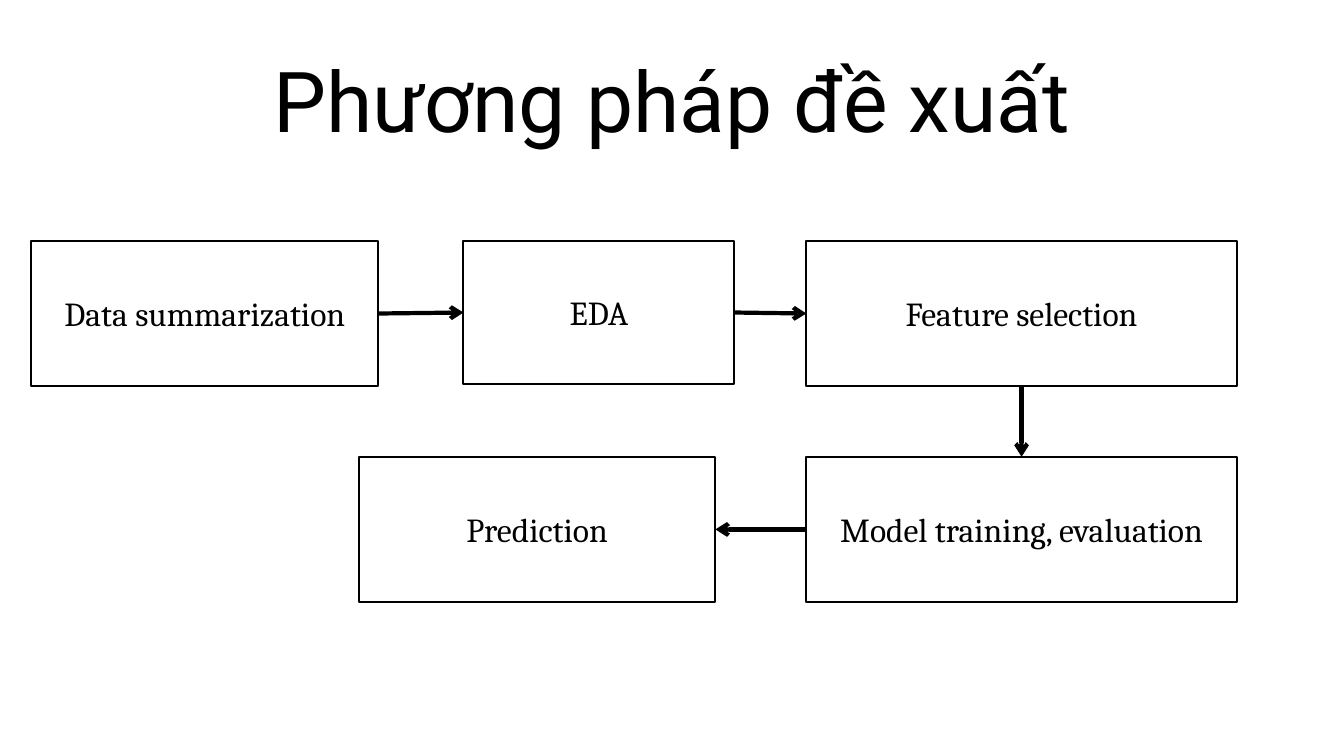
from dataclasses import dataclass
from lxml.etree import SubElement
from pptx import Presentation
from pptx.dml.color import RGBColor
from pptx.enum.shapes import MSO_CONNECTOR, MSO_SHAPE
from pptx.enum.text import MSO_ANCHOR, PP_ALIGN
from pptx.oxml.ns import qn
from pptx.util import Cm, Pt


@dataclass(frozen=True)
class Theme:
    ink: RGBColor = RGBColor(0, 0, 0)
    paper: RGBColor = RGBColor(255, 255, 255)
    title_font: str = "Roboto"
    step_font: str = "Cambria"
    title_size: Pt = Pt(60)
    step_size: Pt = Pt(24)
    border: Pt = Pt(1.5)
    arrow: Pt = Pt(3)


THEME = Theme()
TOP, LEFT, BOTTOM, RIGHT = range(4)  # connection sites of a rectangle

# Step: text, left and top within the chart, width, height (cm)
STEPS = [
    ("Data summarization", 0, 0, 8.74, 3.66),
    ("EDA", 10.89, 0, 6.83, 3.61),
    ("Feature selection", 19.53, 0, 10.85, 3.66),
    ("Model training, evaluation", 19.53, 5.44, 10.85, 3.66),
    ("Prediction", 8.25, 5.44, 8.99, 3.66),
]
# Sites that the arrow from each step to the next leaves and enters
LINKS = [(RIGHT, LEFT), (RIGHT, LEFT), (BOTTOM, TOP), (LEFT, RIGHT)]


def apply(target, formats):
    for name, value in formats.items():
        setattr(target, name, value)


def write(shape, text, font, size, anchor, spacing=1.0):
    tf = shape.text_frame
    apply(tf, {"word_wrap": True, "vertical_anchor": anchor})
    p = tf.paragraphs[0]
    apply(p, {"alignment": PP_ALIGN.CENTER, "line_spacing": spacing})
    r = p.add_run()
    apply(r, {"text": text})
    apply(r.font, {"name": font, "size": size})
    r.font.color.rgb = THEME.ink


def add_title(s, text, left, top, width, height):
    box = s.shapes.add_textbox(Cm(left), Cm(top), Cm(width), Cm(height))
    write(box, text, THEME.title_font, THEME.title_size, MSO_ANCHOR.BOTTOM, 0.9)


def add_step(s, text, left, top, width, height):
    sp = s.shapes.add_shape(MSO_SHAPE.RECTANGLE, Cm(left), Cm(top), Cm(width), Cm(height))
    sp.shadow.inherit = False
    sp.fill.solid()
    sp.fill.fore_color.rgb = THEME.paper
    sp.line.color.rgb = THEME.ink
    sp.line.width = THEME.border
    write(sp, text, THEME.step_font, THEME.step_size, MSO_ANCHOR.MIDDLE)
    return sp


def add_arrow(s, start, start_site, end, end_site):
    line = s.shapes.add_connector(MSO_CONNECTOR.STRAIGHT, 0, 0, 0, 0)
    line.begin_connect(start, start_site)
    line.end_connect(end, end_site)
    line.line.color.rgb = THEME.ink
    line.line.width = THEME.arrow
    # Arrowhead, and no shadow
    SubElement(line.line._get_or_add_ln(), qn("a:tailEnd"), type="arrow")
    SubElement(line._element.spPr, qn("a:effectLst"))


def add_flowchart(s, left, top):
    boxes = [add_step(s, text, left + x, top + y, w, h) for text, x, y, w, h in STEPS]
    for start, end, (start_site, end_site) in zip(boxes, boxes[1:], LINKS):
        add_arrow(s, start, start_site, end, end_site)


def main():
    prs = Presentation()
    apply(prs, {"slide_width": Cm(33.87), "slide_height": Cm(19.05)})
    s = prs.slides.add_slide(prs.slide_layouts[6])
    add_title(s, "Phương pháp đề xuất", 2.33, 1.04, 29.21, 2.87)
    add_flowchart(s, 0.79, 6.07)
    prs.save("out.pptx")


if __name__ == "__main__":
    main()
